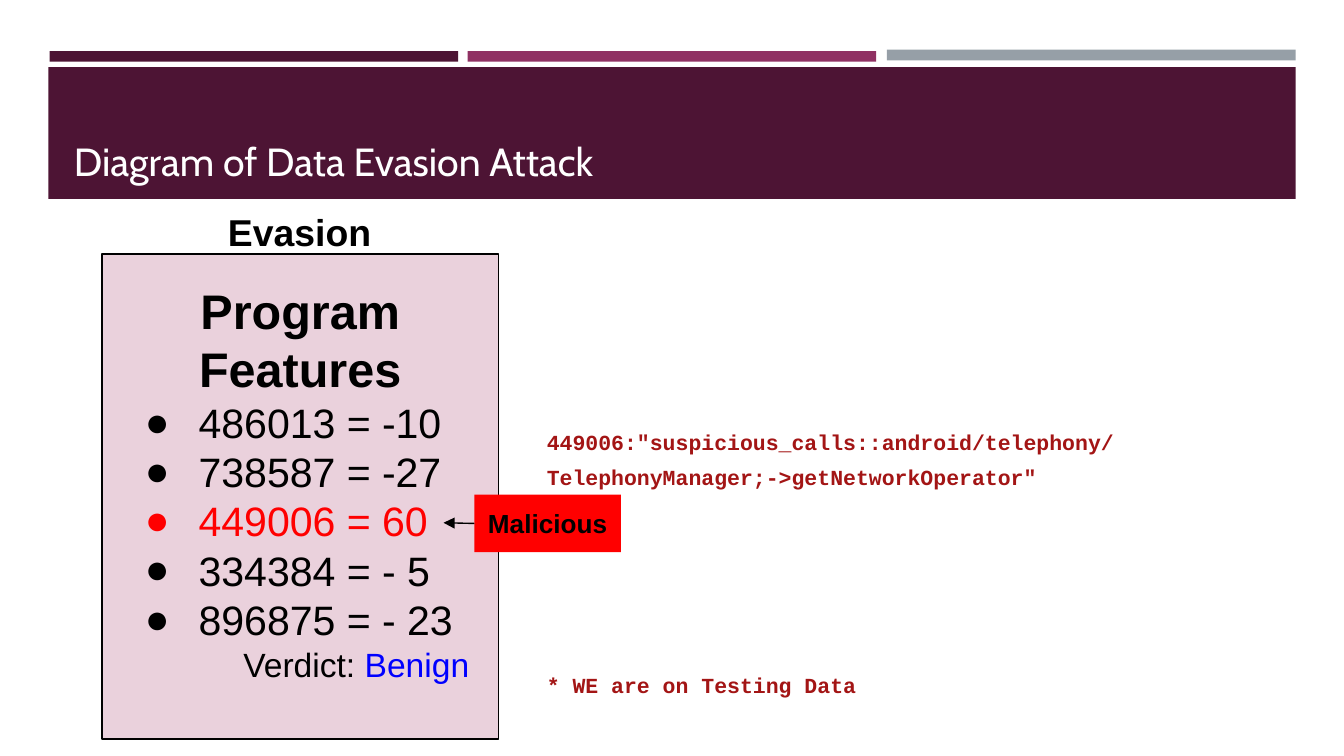
from lxml import etree
from pptx import Presentation
from pptx.dml.color import RGBColor
from pptx.enum.shapes import MSO_CONNECTOR, MSO_SHAPE
from pptx.enum.text import MSO_ANCHOR, PP_ALIGN
from pptx.oxml.ns import qn
from pptx.util import Inches, Pt

COLORS = {
    "plum": "4D1434", "magenta": "903163", "gray": "969FA7",
    "pink": "EAD1DC", "red": "FF0000", "blue": "0000FF",
    "code": "A31515", "black": "000000", "white": "FFFFFF",
}
FEATURES = [
    ("486013 = -10", "black"),
    ("738587 = -27", "black"),
    ("449006 = 60", "red"),
    ("334384 = - 5", "black"),
    ("896875 = - 23", "black"),
]


def rgb(name):
    return RGBColor.from_string(COLORS[name])


def add_rect(s, x, y, w, h, fill, line=None):
    sp = s.shapes.add_shape(MSO_SHAPE.RECTANGLE, Inches(x), Inches(y), Inches(w), Inches(h))
    sp.shadow.inherit = False
    sp.fill.solid()
    sp.fill.fore_color.rgb = rgb(fill)
    if line:
        sp.line.color.rgb = rgb(line)
        sp.line.width = Pt(0.75)
    else:
        sp.line.fill.background()
    return sp


def set_frame(sp, inset_x=0.1, inset_y=0.1, anchor=MSO_ANCHOR.TOP):
    tf = sp.text_frame
    tf.word_wrap = True
    tf.vertical_anchor = anchor
    tf.margin_left = tf.margin_right = Inches(inset_x)
    tf.margin_top = tf.margin_bottom = Inches(inset_y)
    return tf


def add_box(s, x, y, w, h, **frame):
    return set_frame(s.shapes.add_textbox(Inches(x), Inches(y), Inches(w), Inches(h)), **frame)


def add_run(p, text, size, font="Arial", color="black", bold=False):
    r = p.add_run()
    r.text = text
    r.font.size = Pt(size)
    r.font.name = font
    r.font.bold = bold
    r.font.color.rgb = rgb(color)


def add_text(tf, text, align=PP_ALIGN.LEFT, bullet=False, spacing=None, before=0, **font):
    """Add a paragraph, reusing the empty first one of the frame."""
    p = tf.paragraphs[0] if not tf.paragraphs[0].runs else tf.add_paragraph()
    if bullet:
        add_bullet(p, font["color"])
    p.alignment = align
    if spacing:
        p.line_spacing = spacing
    if before:
        p.space_before = Pt(before)
    add_run(p, text, **font)
    return p


def add_bullet(p, color):
    pPr = p._p.get_or_add_pPr()
    pPr.set("marL", str(Inches(0.5)))
    pPr.set("indent", str(Inches(-0.4)))
    clr = etree.SubElement(pPr, qn("a:buClr"))
    etree.SubElement(clr, qn("a:srgbClr"), val=COLORS[color])
    etree.SubElement(pPr, qn("a:buFont"), typeface="Arial")
    etree.SubElement(pPr, qn("a:buChar"), char="●")


def add_arrow(s, start, x, y):
    """Draw an arrow from the left side of a rectangle to a point."""
    line = s.shapes.add_connector(MSO_CONNECTOR.STRAIGHT, start.left, Inches(y), Inches(x), Inches(y))
    line.begin_connect(start, 1)
    line.line.color.rgb = rgb("black")
    line.line.width = Pt(0.75)
    etree.SubElement(line.line._get_or_add_ln(), qn("a:tailEnd"), type="triangle")
    etree.SubElement(line._element.spPr, qn("a:effectLst"))


def add_header(s):
    for x, y, color in ((0.37, 0.38, "plum"), (3.48, 0.38, "magenta"), (6.6, 0.37, "gray")):
        add_rect(s, x, y, 3.04, 0.08, color)
    add_rect(s, 0.36, 0.5, 9.28, 0.98, "plum")
    tf = add_box(s, 0.48, 0.58, 9.05, 0.83, inset_x=0.07, inset_y=0.04, anchor=MSO_ANCHOR.BOTTOM)
    add_text(tf, "Diagram of Data Evasion Attack", size=21, font="Cabin", color="white")


def add_features(s):
    add_rect(s, 0.76, 1.89, 2.95, 3.61, "pink", line="black")
    tf = add_box(s, 0.88, 1.99, 2.71, 3.23)
    add_text(tf, "Program Features", align=PP_ALIGN.CENTER, size=26, bold=True)
    for text, color in FEATURES:
        add_text(tf, text, bullet=True, size=22, color=color)
    p = add_text(tf, "Verdict: ", align=PP_ALIGN.RIGHT, size=18)
    add_run(p, "Benign", size=18, color="blue")


def add_malicious_tag(s):
    tag = add_rect(s, 3.53, 3.68, 1.09, 0.43, "red")
    tf = set_frame(tag, anchor=MSO_ANCHOR.MIDDLE)
    add_text(tf, "Malicious", align=PP_ALIGN.CENTER, size=14, bold=True)
    add_arrow(s, tag, 3.3, 3.89)


def add_code_notes(s):
    tf = add_box(s, 3.97, 3.02, 5.8, 2.23)
    code = dict(spacing=1.36, size=11.5, font="Courier New", color="code", bold=True)
    add_text(tf, '449006:"suspicious_calls::android/telephony/TelephonyManager;->getNetworkOperator"', **code)
    add_text(tf, "* WE are on Testing Data", before=93, **code)


def main():
    prs = Presentation()
    prs.slide_width = Inches(10)
    prs.slide_height = prs.slide_width * 9 // 16
    s = prs.slides.add_slide(prs.slide_layouts[6])
    add_header(s)
    add_features(s)
    add_malicious_tag(s)
    add_text(add_box(s, 1.55, 1.46, 1.36, 0.54), "Evasion", align=PP_ALIGN.CENTER, size=20, bold=True)
    add_code_notes(s)
    prs.save("out.pptx")


if __name__ == "__main__":
    main()
